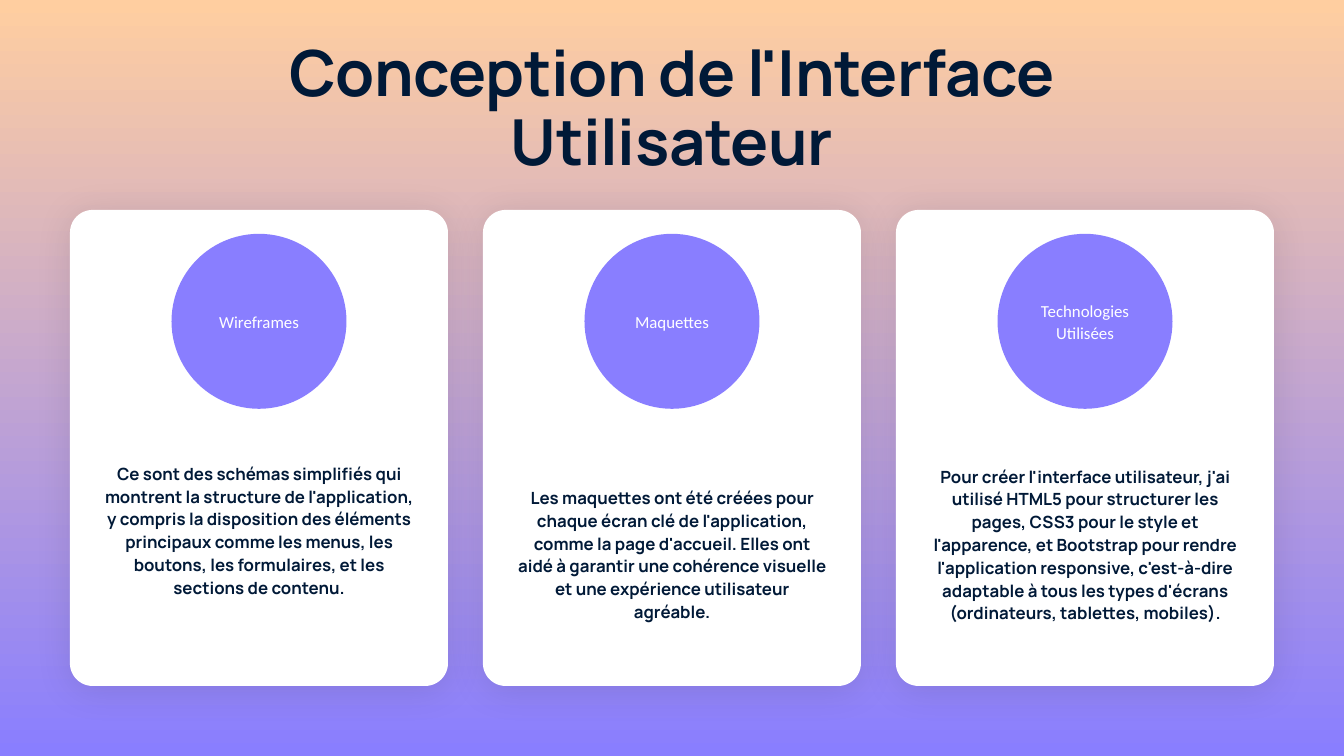
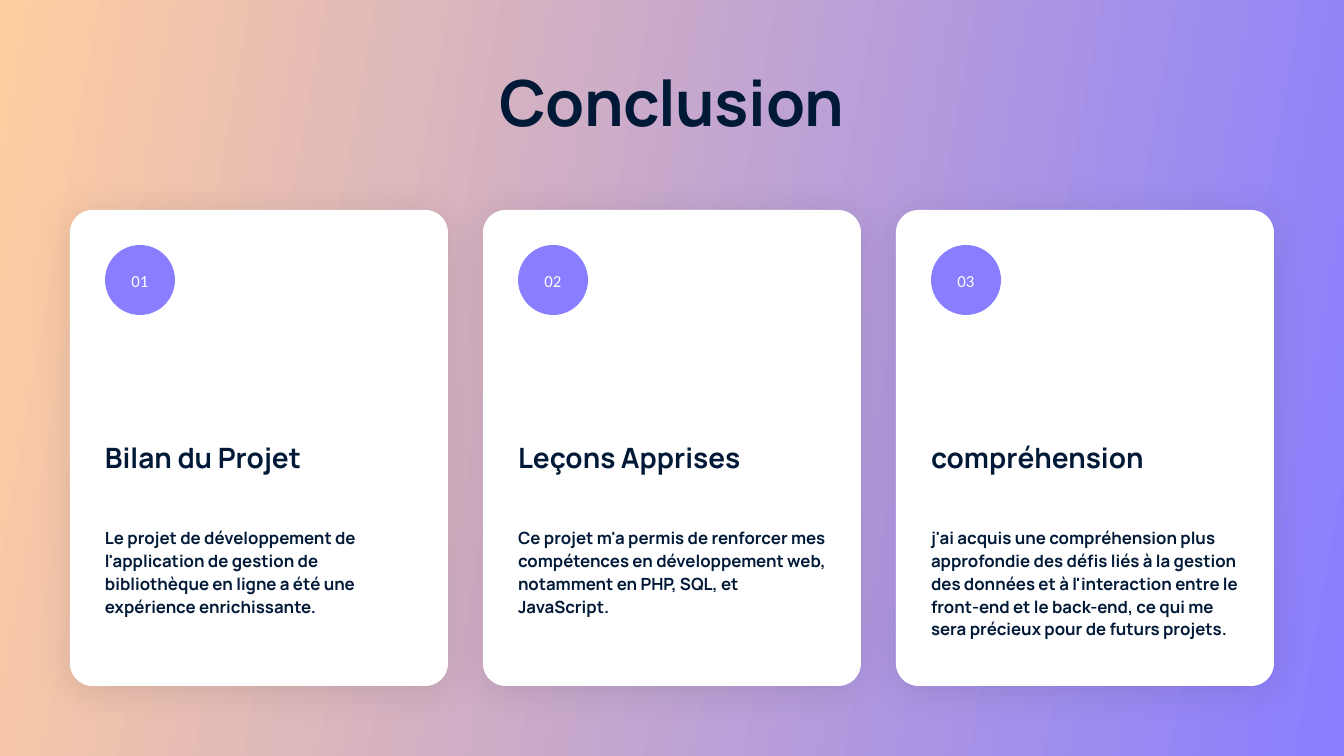
from pptx import Presentation
from pptx.dml.color import RGBColor
from pptx.enum.shapes import MSO_SHAPE
from pptx.enum.text import MSO_ANCHOR, MSO_AUTO_SIZE, PP_ALIGN
from pptx.oxml import parse_xml
from pptx.oxml.ns import nsdecls
from pptx.util import Pt

VIOLET, PEACH, NAVY, WHITE = "897EFF", "FFCEA0", "001937", "FFFFFF"
WIDE, HIGH = 720, 405
CARD_W, CARD_H, CARD_TOP, GAP = 202.5, 255, 112.5, 18.75
PAD = 18.75
EDGE = (WIDE - 3 * CARD_W - 2 * GAP) / 2
BODY = dict(size=9, lead=12.2)

PARTS = [
    ("Wireframes", 134.5, 73, "Ce sont des schémas simplifiés qui montrent la structure de "
     "l'application, y compris la disposition des éléments principaux comme les menus, les "
     "boutons, les formulaires, et les sections de contenu."),
    ("Maquettes", 147.5, 60.5, "Les maquettes ont été créées pour chaque écran clé de "
     "l'application, comme la page d'accueil. Elles ont aidé à garantir une cohérence "
     "visuelle et une expérience utilisateur agréable."),
    ("Technologies Utilisées", 136, 85, "Pour créer l'interface utilisateur, j'ai utilisé "
     "HTML5 pour structurer les pages, CSS3 pour le style et l'apparence, et Bootstrap pour "
     "rendre l'application responsive, c'est-à-dire adaptable à tous les types d'écrans "
     "(ordinateurs, tablettes, mobiles)."),
]
POINTS = [
    ("Bilan du Projet", 48.5, "Le projet de développement de l'application de gestion de "
     "bibliothèque en ligne a été une expérience enrichissante."),
    ("Leçons Apprises", 48.5, "Ce projet m'a permis de renforcer mes compétences en "
     "développement web, notamment en PHP, SQL, et JavaScript."),
    ("compréhension", 60.5, "j'ai acquis une compréhension plus approfondie des défis liés à "
     "la gestion des données et à l'interaction entre le front-end et le back-end, ce qui me "
     "sera précieux pour de futurs projets."),
]


def tint(code):
    """Turn a hex string into a colour."""
    return RGBColor.from_string(code)


def write(shape, text, size, lead, font="Manrope", color=NAVY, bold=True,
          align=PP_ALIGN.LEFT, anchor=MSO_ANCHOR.TOP, inset=(0, 0), track=0):
    """Fill a shape with one formatted paragraph."""
    frame = shape.text_frame
    frame.word_wrap = True
    frame.auto_size = MSO_AUTO_SIZE.NONE
    frame.vertical_anchor = anchor
    frame.margin_left = frame.margin_right = Pt(inset[0])
    frame.margin_top = frame.margin_bottom = Pt(inset[1])
    para = frame.paragraphs[0]
    para.alignment = align
    para.line_spacing = Pt(lead)
    run = para.add_run()
    run.text = text
    run.font.name = font
    run.font.size = Pt(size)
    run.font.bold = bold
    run.font.color.rgb = tint(color)
    if track:
        run.font._element.set("spc", str(round(track * 100)))


def label(slide, text, box, **form):
    """Add a text box."""
    write(slide.shapes.add_textbox(*map(Pt, box)), text, **form)


def plain(slide, kind, box, color):
    """Add a filled shape with no line or shadow."""
    shape = slide.shapes.add_shape(kind, *map(Pt, box))
    shape.shadow.inherit = False
    shape.fill.solid()
    shape.fill.fore_color.rgb = tint(color)
    shape.line.fill.background()
    return shape


def disc(slide, text, left, top, size):
    """Add a violet circle with centred white text."""
    shape = plain(slide, MSO_SHAPE.OVAL, (left, top, size, size), VIOLET)
    write(shape, text, size=9, lead=11.7, font="Calibri", color=WHITE, bold=False,
          align=PP_ALIGN.CENTER, anchor=MSO_ANCHOR.MIDDLE,
          inset=(size * 0.055, size * 0.115))


def card(slide, left, top):
    """Add a white rounded card with a soft shadow."""
    shape = plain(slide, MSO_SHAPE.ROUNDED_RECTANGLE, (left, top, CARD_W, CARD_H), WHITE)
    shape.adjustments[0] = 0.06
    props = shape._element.spPr
    props.remove(props.find("{*}effectLst"))
    props.append(parse_xml(
        f'<a:effectLst {nsdecls("a")}><a:outerShdw blurRad="{Pt(20)}" dist="{Pt(2)}" '
        'dir="5400000" algn="ctr" rotWithShape="0"><a:srgbClr val="000000">'
        '<a:alpha val="10000"/></a:srgbClr></a:outerShdw></a:effectLst>'))


def base(deck, text, top, lines, angle):
    """Add a slide with its gradient, title and cards; return it with card lefts."""
    slide = deck.slides.add_slide(deck.slide_layouts[5])
    fill = slide.background.fill
    fill.gradient()
    fill.gradient_angle = angle
    for stop, color in zip(fill.gradient_stops, (VIOLET, PEACH)):
        stop.color.rgb = tint(color)
    title = slide.shapes.title
    title.left, title.top, title.width, title.height = map(
        Pt, (112.5, top, WIDE - 225, 37.1 * lines))
    write(title, text, size=34, lead=37.1, align=PP_ALIGN.CENTER, track=-0.2)
    lefts = [EDGE + i * (CARD_W + GAP) for i in range(3)]
    for left in lefts:
        card(slide, left, CARD_TOP)
    return slide, lefts


def part(slide, left, top, name, drop, tall, text):
    """Place a large disc and centred text on a card."""
    size = 93.75
    label(slide, text, (left + PAD, top + drop, CARD_W - 2 * PAD, tall),
          align=PP_ALIGN.CENTER, **BODY)
    disc(slide, name, left + (CARD_W - size) / 2, top + 12.75, size)


def point(slide, left, top, mark, name, tall, text):
    """Place a number, heading and text on a card."""
    inner, wide = left + PAD, CARD_W - 2 * PAD
    disc(slide, mark, inner, top + PAD, 37.5)
    label(slide, name, (inner, top + 122.25, wide, 19.5), size=15, lead=19.5)
    label(slide, text, (inner, top + 169, wide, tall), **BODY)


def design(deck):
    """Build the interface design slide."""
    slide, lefts = base(deck, "Conception de l'Interface Utilisateur", 21.5, 2, 90)
    for left, row in zip(lefts, PARTS):
        part(slide, left, CARD_TOP, *row)


def ending(deck):
    """Build the conclusion slide."""
    slide, lefts = base(deck, "Conclusion", 37.5, 1, 170)
    for i, (left, row) in enumerate(zip(lefts, POINTS), 1):
        point(slide, left, CARD_TOP, f"{i:02}", *row)


def main():
    """Build and save the deck."""
    deck = Presentation()
    deck.slide_width, deck.slide_height = Pt(WIDE), Pt(HIGH)
    design(deck)
    ending(deck)
    deck.save("out.pptx")


if __name__ == "__main__":
    main()
